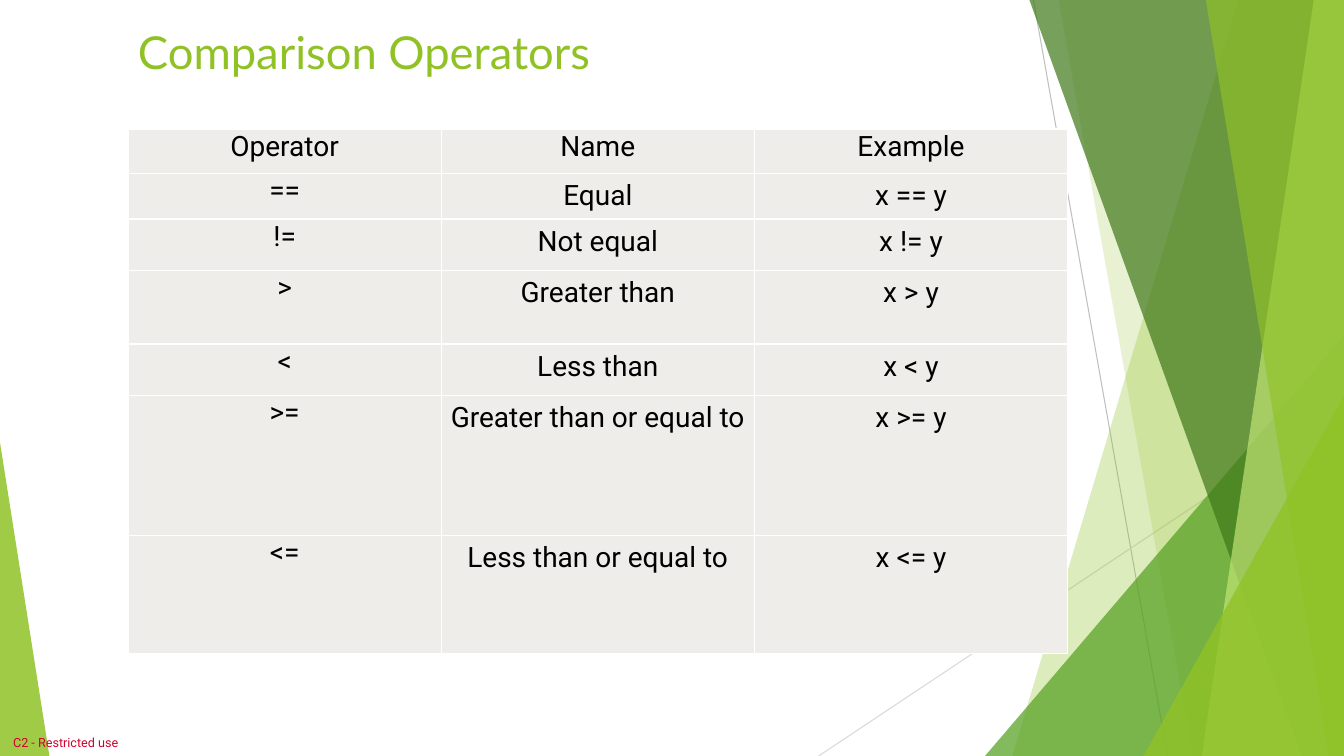
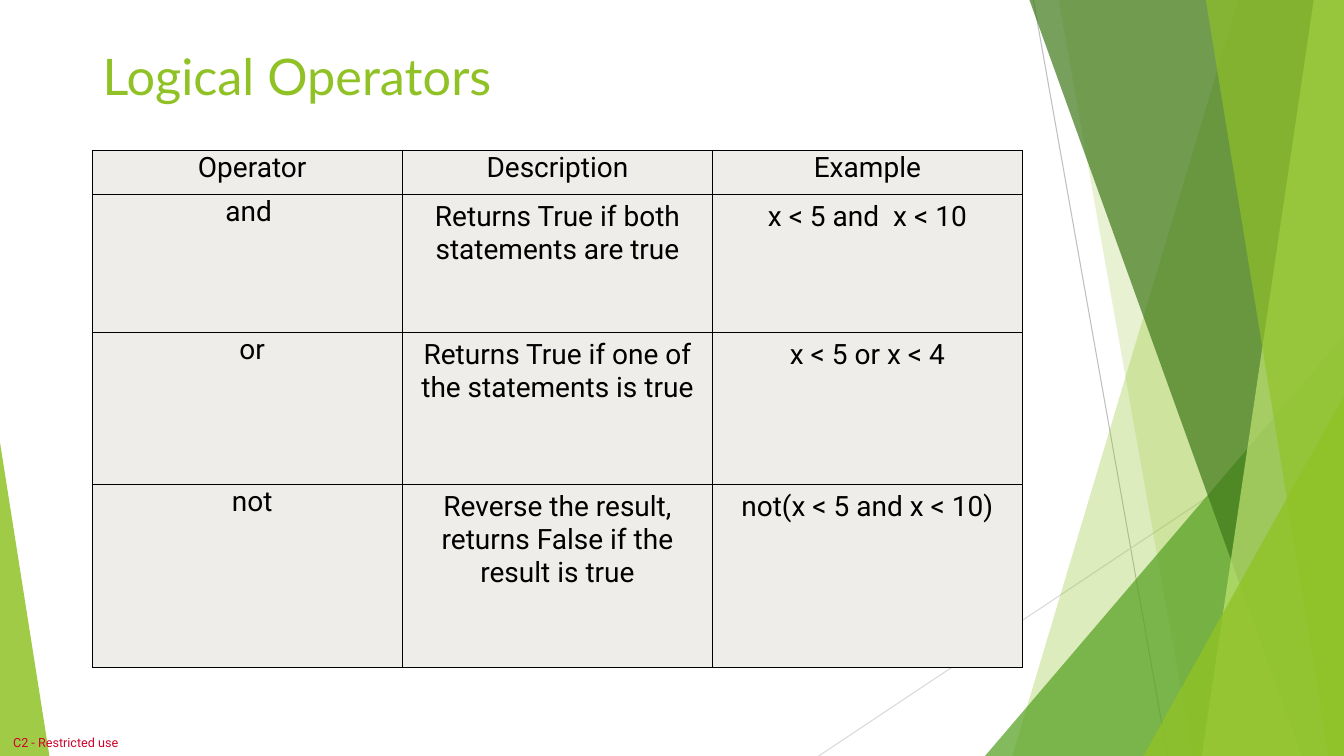
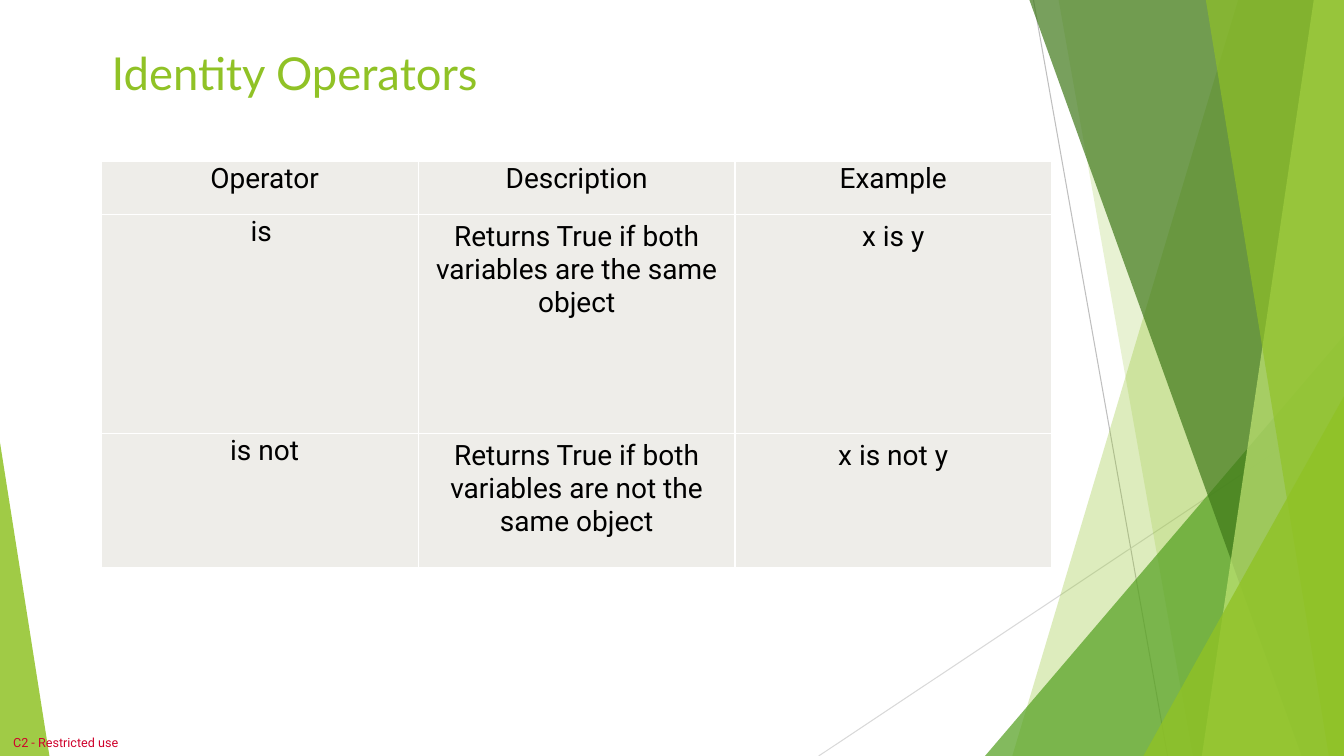
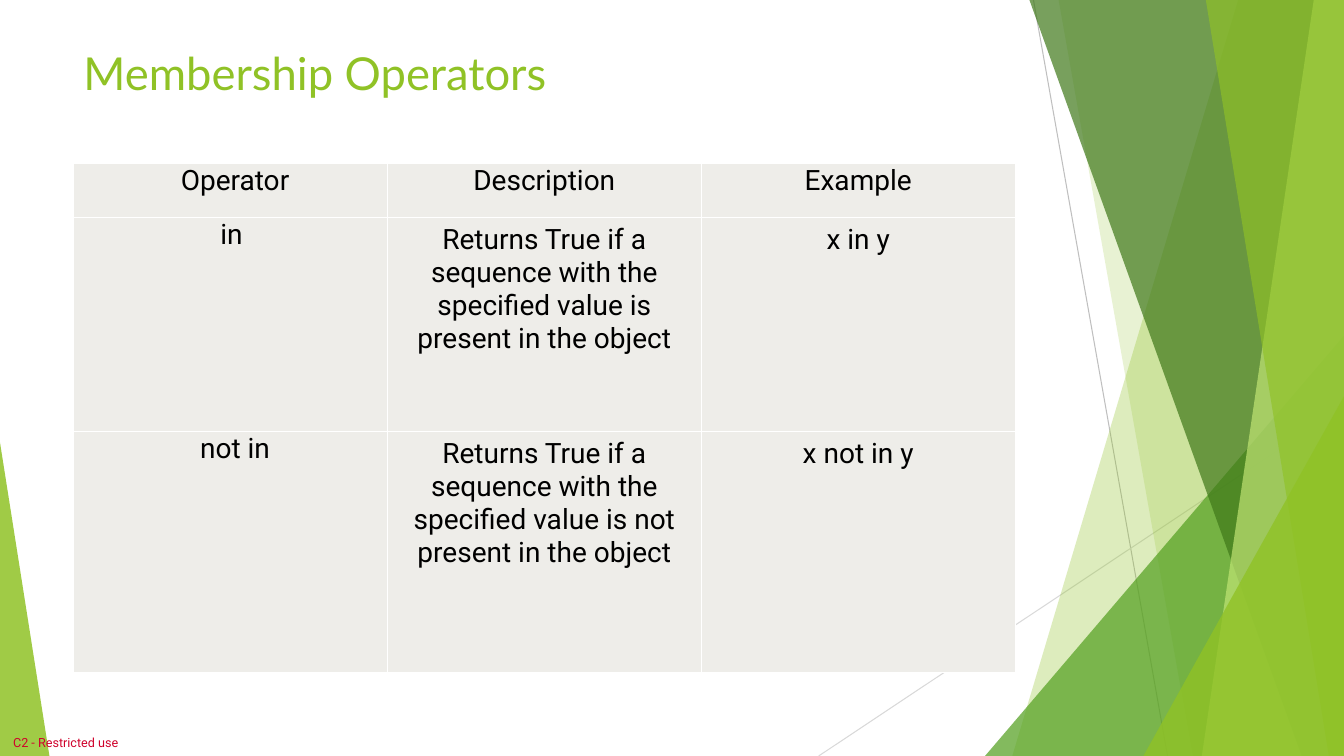
from lxml.etree import SubElement
from pptx import Presentation
from pptx.dml.color import RGBColor
from pptx.enum.shapes import MSO_CONNECTOR as CONNECTOR, MSO_SHAPE as SHAPE
from pptx.enum.text import MSO_ANCHOR as ANCHOR, PP_ALIGN as ALIGN
from pptx.oxml.ns import qn
from pptx.util import Inches, Pt

COLOURS = {
    "green": "90C226", "leaf": "54A021", "forest": "3F7819", "lime": "C0E474",
    "grey": "BFBFBF", "pale_grey": "D9D9D9", "cell": "EEEDE9",
    "black": "000000", "white": "FFFFFF", "red": "CF022B",
}
WIDTH, HEIGHT = 13.33, 7.5


def rgb(name):
    return RGBColor.from_string(COLOURS[name])


def write(frame, text, size, font, colour, align=ALIGN.LEFT):
    paragraph = frame.paragraphs[0]
    paragraph.alignment = align
    run = paragraph.add_run()
    run.text = text
    for attribute, value in {"size": Pt(size), "name": font, "bold": False}.items():
        setattr(run.font, attribute, value)
    run.font.color.rgb = rgb(colour)


prs = Presentation()
prs.slide_width, prs.slide_height = Inches(WIDTH), Inches(HEIGHT)
blank = prs.slide_layouts[6]
for placeholder in list(blank.placeholders):
    blank.shapes.element.remove(placeholder.element)

first_slide = prs.slides.add_slide(blank)
shapes = first_slide.shapes

rays = [
    (10.25, 0, 11.58, HEIGHT, "grey"),
    (WIDTH, 4.03, 8.12, HEIGHT, "pale_grey"),
]
for x1, y1, x2, y2, colour in rays:
    ray = shapes.add_connector(
        CONNECTOR.STRAIGHT, Inches(x1), Inches(y1), Inches(x2), Inches(y2))
    ray.line.color.rgb = rgb(colour)
    ray.line.width = Pt(0.75)
    SubElement(ray.element.spPr, qn("a:effectLst"))

facets = [
    ("band", (12.28, 10.04), "green", 30),
    ("band", (10.5, 11.83), "green", 20),
    ("triangle", (9.77, 3.33, WIDTH, 1), "leaf", 72),
    ("band", (10.21, 12.91), "forest", 70),
    ("band", (13.03, 11.92), "lime", 70),
    ("band", (11.96, 13.18), "green", 65),
    ("triangle", (11.34, 3.93, WIDTH, 1), "green", 80),
    ("triangle", (0, 4.39, 0.49, 0), "green", 85),
]
for kind, geometry, colour, opacity in facets:
    if kind == "band":
        top_x, bottom_x = geometry
        outline = shapes.build_freeform(Inches(top_x), 0)
        outline.add_line_segments([
            (Inches(WIDTH), 0), (Inches(WIDTH), Inches(HEIGHT)),
            (Inches(bottom_x), Inches(HEIGHT))])
        facet = outline.convert_to_shape()
    else:
        left, top, right, apex = geometry
        facet = shapes.add_shape(
            SHAPE.ISOSCELES_TRIANGLE, Inches(left), Inches(top),
            Inches(right - left), Inches(HEIGHT - top))
        facet.adjustments[0] = apex
    facet.shadow.inherit = False
    facet.line.fill.background()
    facet.fill.solid()
    facet.fill.fore_color.rgb = rgb(colour)
    fill_colour = facet.element.spPr.find(qn("a:solidFill"))[0]
    SubElement(fill_colour, qn("a:alpha"), val=str(opacity * 1000))

restriction = shapes.add_textbox(0, Inches(7.23), Inches(1.34), Inches(0.27)).text_frame
restriction_format = {
    "word_wrap": True, "vertical_anchor": ANCHOR.MIDDLE,
    "margin_left": Inches(0.13), "margin_right": 0, "margin_top": 0, "margin_bottom": 0,
}
for attribute, value in restriction_format.items():
    setattr(restriction, attribute, value)
write(restriction, "C2 - Restricted use", 9, "Roboto", "red")

for backdrop_part in list(shapes):
    blank.shapes.element.append(backdrop_part.element)

topics = [
    {
        "title": "Comparison Operators", "size": 32.4, "left": 1.27, "title_top": 0.19,
        "top": 1.28, "width": 9.32, "border": "white", "indent": 0.01,
        "heights": [0.44, 0.44, 0.51, 0.73, 0.51, 1.39, 1.17],
        "rows": [
            ("Operator", "Name", "Example"),
            ("==", "Equal", "x == y"),
            ("!=", "Not equal", "x != y"),
            (">", "Greater than", "x > y"),
            ("<", "Less than", "x < y"),
            (">=", "Greater than or equal to", "x >= y"),
            ("<=", "Less than or equal to", "x <= y"),
        ],
    },
    {
        "title": "Logical Operators", "size": 36, "left": 0.92, "title_top": 0.4,
        "top": 1.49, "width": 9.22, "border": "black", "indent": 0.1,
        "heights": [0.44, 1.37, 1.51, 1.81],
        "rows": [
            ("Operator", "Description", "Example"),
            ("and\u00a0", "Returns True if both statements are true",
             "x < 5 and\u00a0 x < 10"),
            ("or", "Returns True if one of the statements is true", "x < 5 or x < 4"),
            ("not", "Reverse the result, returns False if the result is true",
             "not(x < 5 and x < 10)"),
        ],
    },
    {
        "title": "Identity Operators", "size": 32.4, "left": 1.01, "title_top": 0.4,
        "top": 1.6, "width": 9.42, "border": "white", "indent": 0.1,
        "heights": [0.53, 2.17, 1.33],
        "rows": [
            ("Operator", "Description", "Example"),
            ("is\u00a0", "Returns True if both variables are the same object", "x is y"),
            ("is not", "Returns True if both variables are not the same object",
             "x is not y"),
        ],
    },
    {
        "title": "Membership Operators", "size": 32.4, "left": 0.73, "title_top": 0.4,
        "top": 1.62, "width": 9.34, "border": "white", "indent": 0.1,
        "heights": [0.54, 2.12, 2.39],
        "rows": [
            ("Operator", "Description", "Example"),
            ("in\u00a0", "Returns True if a sequence with the specified value is "
             "present in the object", "x in y"),
            ("not in", "Returns True if a sequence with the specified value is not "
             "present in the object", "x not in y"),
        ],
    },
]

for number, topic in enumerate(topics):
    slide = prs.slides.add_slide(blank) if number else first_slide
    left = Inches(topic["left"])

    title = slide.shapes.add_textbox(
        left, Inches(topic["title_top"]), Inches(11.5), Inches(0.8)).text_frame
    title.word_wrap = True
    write(title, topic["title"], topic["size"], "Lato", "green")

    operators = slide.shapes.add_table(
        len(topic["rows"]), 3, left, Inches(topic["top"]),
        Inches(topic["width"]), Inches(sum(topic["heights"]))).table
    operators.first_row = operators.horz_banding = False
    for row, height in zip(operators.rows, topic["heights"]):
        row.height = Inches(height)

    for r, texts in enumerate(topic["rows"]):
        for c, text in enumerate(texts):
            cell = operators.cell(r, c)
            snug = r == 0 or c == 0
            margins = {
                "margin_left": topic["indent"] if c == 0 else 0.01,
                "margin_right": 0.01,
                "margin_top": 0.01 if snug else 0.06,
                "margin_bottom": 0 if snug else 0.06,
            }
            for attribute, value in margins.items():
                setattr(cell, attribute, Inches(value))
            properties = cell._tc.get_or_add_tcPr()
            for side in ("lnL", "lnR", "lnT", "lnB"):
                border = SubElement(properties, qn("a:" + side), w=str(Pt(1)))
                border_fill = SubElement(border, qn("a:solidFill"))
                SubElement(border_fill, qn("a:srgbClr"), val=COLOURS[topic["border"]])
            cell.fill.solid()
            cell.fill.fore_color.rgb = rgb("cell")
            write(cell.text_frame, text, 20, "Roboto", "black", ALIGN.CENTER)

prs.save("out.pptx")
